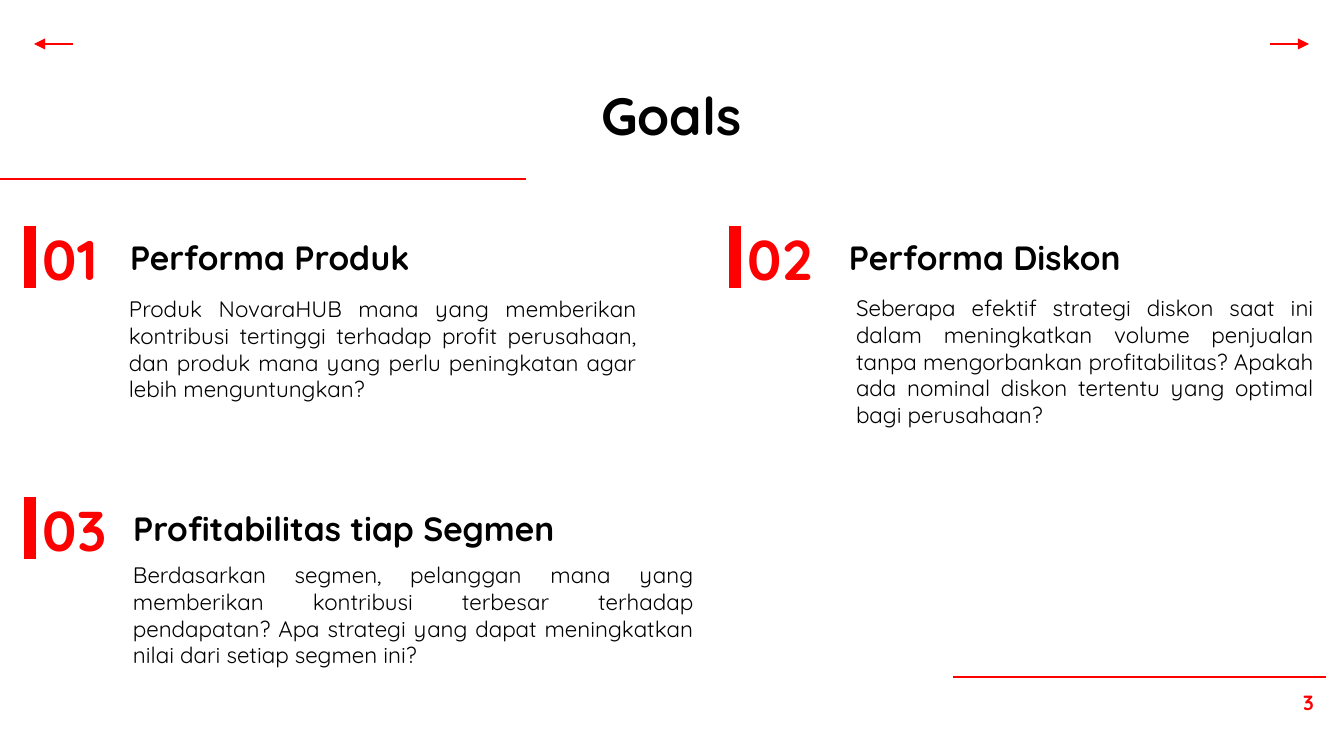
from lxml import etree
from pptx import Presentation
from pptx.dml.color import RGBColor
from pptx.enum.shapes import MSO_CONNECTOR
from pptx.enum.text import MSO_ANCHOR, MSO_AUTO_SIZE, PP_ALIGN
from pptx.oxml.ns import qn
from pptx.util import Pt

TOP, MIDDLE = MSO_ANCHOR.TOP, MSO_ANCHOR.MIDDLE
LEFT, CENTER, RIGHT, JUSTIFY = (PP_ALIGN.LEFT, PP_ALIGN.CENTER,
                                PP_ALIGN.RIGHT, PP_ALIGN.JUSTIFY)
RED = RGBColor(0xFD, 0x00, 0x00)
BLACK = RGBColor(0x00, 0x00, 0x00)
FONT = "Quicksand"
PX = 914400 / 134.4
INSET = 13

# Content
TITLE = "Goals"
PAGE = "3"
# bar position, heading, heading (x, width), body, body (x, y, width)
GOALS = [
    ((30, 226), "Performa Produk", (117, 435),
     "Produk NovaraHUB mana yang memberikan kontribusi tertinggi terhadap "
     "profit perusahaan, dan produk mana yang perlu peningkatan agar lebih "
     "menguntungkan?", (116, 282, 534)),
    ((735, 226), "Performa Diskon", (836, 435),
     "Seberapa efektif strategi diskon saat ini dalam meningkatkan volume "
     "penjualan tanpa mengorbankan profitabilitas? Apakah ada nominal diskon "
     "tertentu yang optimal bagi perusahaan?", (843, 281, 484)),
    ((30, 497), "Profitabilitas tiap Segmen", (120, 571),
     "Berdasarkan segmen, pelanggan mana yang memberikan kontribusi terbesar "
     "terhadap pendapatan? Apa strategi yang dapat meningkatkan nilai dari "
     "setiap segmen ini?", (120, 548, 587)),
]
# start, end, has arrowhead
RULES = [
    ((-3, 179), (526, 179), False),
    ((953, 677), (1326, 677), False),
    ((1270, 44), (1309, 44), True),
    ((73, 44), (34, 44), True),
]


def px(n):
    return round(n * PX)


def set_text(sp, box, text, size, color=BLACK, bold=True, align=LEFT,
             anchor=TOP, left_inset=INSET):
    sp.left, sp.top, sp.width, sp.height = map(px, box)
    tf = sp.text_frame
    tf.word_wrap = True
    tf.auto_size = MSO_AUTO_SIZE.NONE
    tf.vertical_anchor = anchor
    tf.margin_left = px(left_inset)
    tf.margin_top = tf.margin_right = tf.margin_bottom = px(INSET)
    p = tf.paragraphs[0]
    p.text = text
    p.alignment = align
    p.font.name, p.font.size, p.font.bold = FONT, Pt(size), bold
    p.font.color.rgb = color


def add_text(box, text, size, **style):
    set_text(slide.shapes.add_textbox(0, 0, 0, 0), box, text, size, **style)


def add_line(start, end, width=0.75, arrow=False):
    line = slide.shapes.add_connector(MSO_CONNECTOR.STRAIGHT,
                                      *map(px, start + end))
    line.line.color.rgb = RED
    line.line.width = Pt(width)
    if arrow:
        etree.SubElement(line.line._get_or_add_ln(), qn("a:tailEnd"),
                         type="triangle")
    etree.SubElement(line._element.spPr, qn("a:effectLst"))


prs = Presentation()
prs.slide_width, prs.slide_height = px(1344), px(756)
slide = prs.slides.add_slide(prs.slide_layouts[5])

# Title and page number
set_text(slide.shapes.title, (216, 70, 911, 85), TITLE, 28, align=CENTER)
add_text((1241, 677, 86, 58), PAGE, 11, color=RED, align=RIGHT)

# Rules and arrows
for start, end, arrow in RULES:
    add_line(start, end, arrow=arrow)

# Numbered goals
for i, ((x, y), heading, (hx, hw), body, (bx, by, bw)) in enumerate(GOALS, 1):
    add_line((x, y), (x, y + 62), width=6)
    add_text((x + 13, y - 14, 85, 87), f"{i:02}", 30, color=RED, left_inset=0)
    add_text((hx, y - 8, hw, 78), heading, 18, anchor=MIDDLE)
    add_text((bx, by, bw, 151), body, 12, bold=False, align=JUSTIFY)

prs.save("out.pptx")
